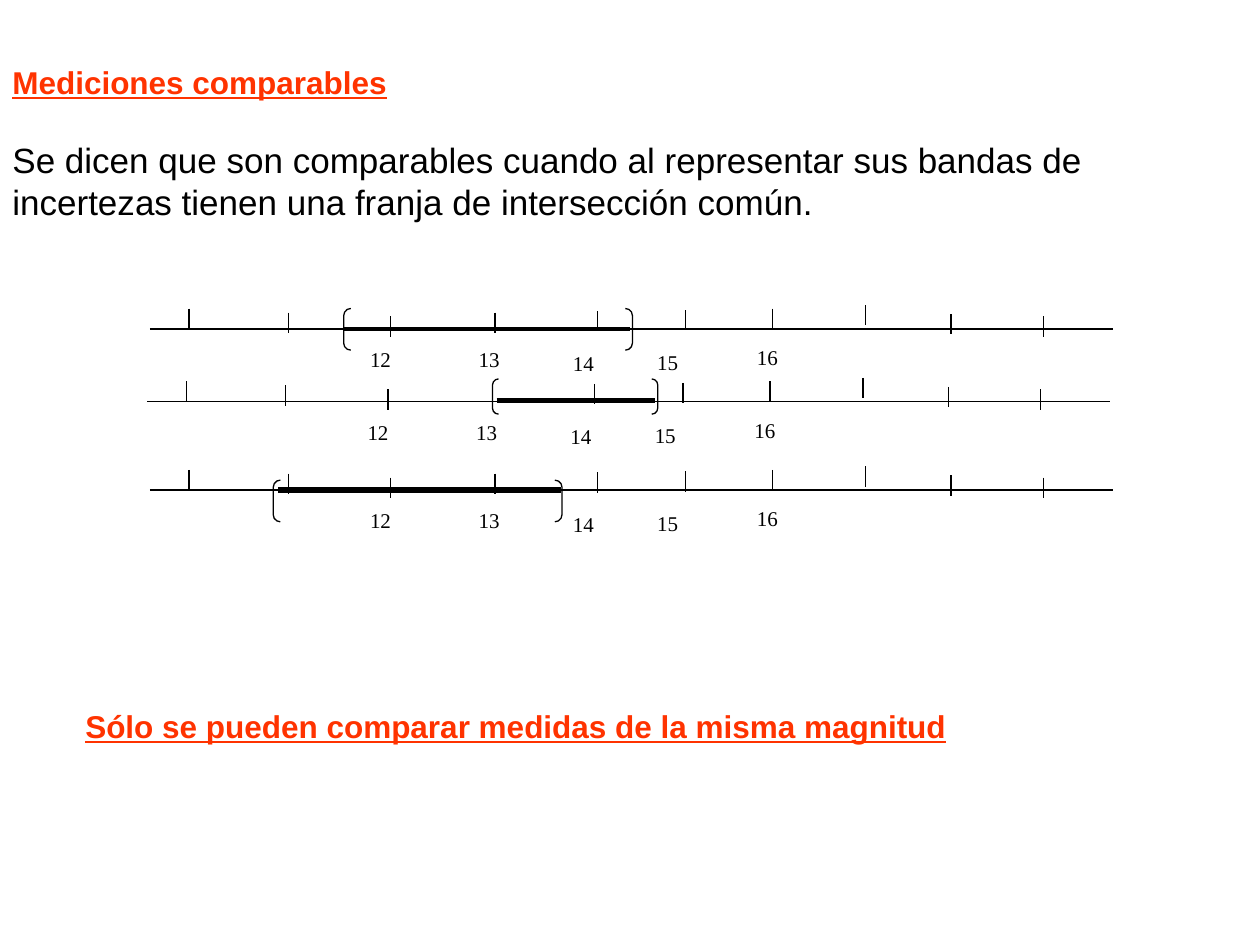
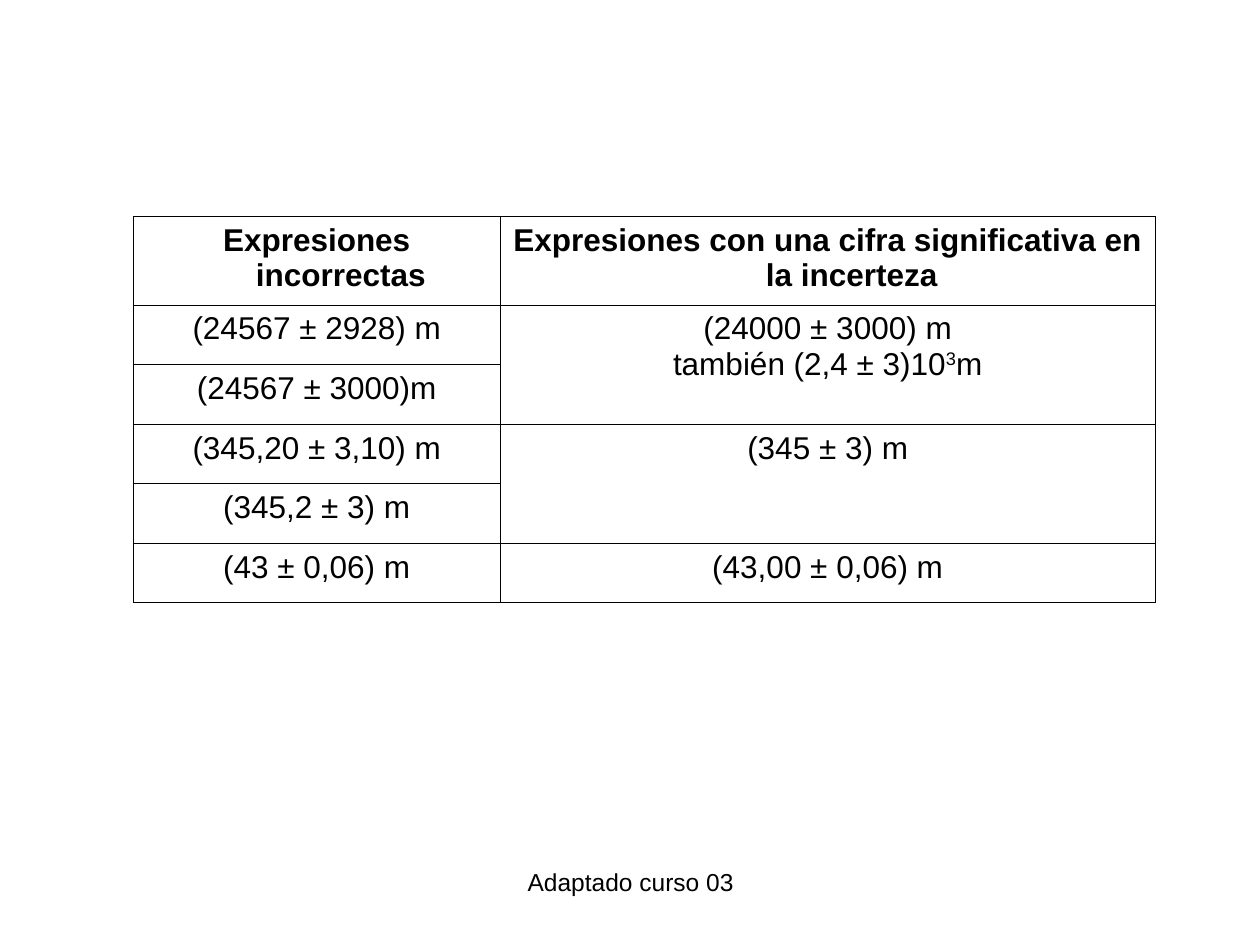
from dataclasses import dataclass
from lxml import etree
from pptx import Presentation
from pptx.dml.color import RGBColor
from pptx.enum import shapes, text
from pptx.oxml.ns import qn
from pptx.util import Cm, Pt


@dataclass(frozen=True)
class Theme:
    ink: RGBColor = RGBColor(0, 0, 0)
    alert: RGBColor = RGBColor(0xFF, 0x33, 0x00)
    sans: str = "Arial"
    serif: str = "Times New Roman"
    head: int = 18
    body: int = 20
    mark: int = 12
    foot: int = 14
    thin: float = 0.75
    edge: float = 0.45


T = Theme()
ALIGN = text.PP_ALIGN

TICKS = [(0.79, -0.41), (2.79, -0.33), (4.85, -0.25), (6.96, -0.33), (9.02, -0.36),
         (10.8, -0.38), (12.55, -0.41), (14.43, -0.48), (16.15, -0.3), (18.01, -0.25)]
MARKS = {"12": (4.19, 0.23), "13": (6.38, 0.23), "14": (8.28, 0.3),
         "15": (9.98, 0.28), "16": (11.99, 0.18)}
SCALES = [
    dict(box=(3.02, 6.63, 19.41), pair=(3.91, -0.41, 5.82, 0.84), band=(3.89, 9.68, 0, 2.25)),
    dict(box=(2.97, 8.1, 19.41), pair=(6.96, -0.46, 3.33, 0.71), band=(7.04, 10.24, -0.03, 3)),
    dict(box=(3.02, 9.88, 19.41), pair=(2.49, -0.2, 5.82, 0.84), band=(2.59, 8.28, 0, 3)),
]
ROWS = [
    ("Expresiones incorrectas", "Expresiones con una cifra significativa en la incerteza"),
    ("(24567 ± 2928) m", "(24000 ± 3000) m\ntambién (2,4 ± 3)10^3^m"),
    ("(24567 ± 3000)m", ""),
    ("(345,20 ± 3,10) m", "(345 ± 3) m"),
    ("(345,2 ± 3) m", ""),
    ("(43 ± 0,06) m", "(43,00 ± 0,06) m"),
]


def style(run, size, name=T.sans, color=T.ink, bold=False, line=False):
    font = run.font
    font.size, font.name, font.bold, font.underline = Pt(size), name, bold, line
    font.color.rgb = color


def write(shape, words, size, align=ALIGN.LEFT, top=0.13, mid=False, **look):
    frame = shape.text_frame
    frame.text = words
    frame.word_wrap = True
    frame.auto_size = text.MSO_AUTO_SIZE.NONE
    frame.margin_left = frame.margin_right = Cm(0.25)
    frame.margin_top, frame.margin_bottom = Cm(top), Cm(0.1)
    frame.vertical_anchor = text.MSO_ANCHOR.MIDDLE if mid else text.MSO_ANCHOR.TOP
    para = frame.paragraphs[0]
    para.alignment = align
    para.space_before = Pt(0)
    style(para.runs[0], size, **look)
    return para


def place(shape, box):
    shape.left, shape.top, shape.width, shape.height = map(Cm, box)


def label(slide, box, words, size, **look):
    write(slide.shapes.add_textbox(*map(Cm, box)), words, size, **look)


def rule(slide, x1, y1, x2, y2, width=T.thin):
    line = slide.shapes.add_connector(shapes.MSO_CONNECTOR.STRAIGHT, *map(Cm, (x1, y1, x2, y2)))
    line.line.color.rgb = T.ink
    line.line.width = Pt(width)
    etree.SubElement(line._element.spPr, qn("a:effectLst"))


def scale(slide, box, pair, band):
    x, y, wide = box
    rule(slide, x, y, x + wide, y)
    for dx, dy in TICKS:
        rule(slide, x + dx, y + dy, x + dx, y + dy + 0.41)
    for words, (dx, dy) in MARKS.items():
        label(slide, (x + dx, y + dy, 1.73, 1.04), words, T.mark, name=T.serif)
    dx, dy, w, h = pair
    hook = slide.shapes.add_shape(shapes.MSO_SHAPE.DOUBLE_BRACKET,
                                  *map(Cm, (x + dx, y + dy, w, h)))
    hook.adjustments[0] = 0.17
    hook.shadow.inherit = False
    hook.fill.background()
    hook.line.color.rgb = T.ink
    hook.line.width = Pt(T.thin)
    start, end, dy, width = band
    rule(slide, x + start, y + dy, x + end, y + dy, width)


def compare(deck):
    slide = deck.slides.add_slide(deck.slide_layouts[1])
    title, body = slide.placeholders
    place(title, (0, 0.84, 25.4, 1.9))
    write(title, "Mediciones comparables", T.head, top=0.43, color=T.alert, bold=True, line=True)
    place(body, (0, 2.66, 25.4, 2.1))
    para = write(body, "Se dicen que son comparables cuando al representar sus bandas de "
                 "incertezas tienen una franja de intersección común.", T.body)
    props = para._p.get_or_add_pPr()
    props.set("marL", "0")
    props.set("indent", "0")
    etree.SubElement(props, qn("a:buNone"))
    for item in SCALES:
        scale(slide, **item)
    label(slide, (1.47, 13.13, 21.39, 2.97), "Sólo se pueden comparar medidas de la misma magnitud",
          T.head, align=ALIGN.JUSTIFY, mid=True, color=T.alert, bold=True, line=True)


def frame(cell):
    props = cell._tc.get_or_add_tcPr()
    for side in ("lnL", "lnR", "lnT", "lnB"):
        line = etree.SubElement(props, qn("a:" + side), w=str(Pt(T.edge)))
        fill = etree.SubElement(line, qn("a:solidFill"))
        etree.SubElement(fill, qn("a:srgbClr"), val=str(T.ink))
    cell.fill.background()


def fill(cell, words, bold):
    for i, line in enumerate(words.split("\n")):
        para = cell.text_frame.paragraphs[0] if i == 0 else cell.text_frame.add_paragraph()
        para.alignment = ALIGN.CENTER
        props = para._p.get_or_add_pPr()
        props.set("marL", str(Cm(0.97)))
        props.set("indent", str(Cm(-0.97)))
        for j, part in enumerate(line.split("^")):
            run = para.add_run()
            run.text = part
            style(run, T.head, bold=bold)
            if j % 2:
                run._r.get_or_add_rPr().set("baseline", "30000")


def grid(slide, box):
    table = slide.shapes.add_table(len(ROWS), 2, *map(Cm, box)).table
    table.first_row = table.horz_banding = False
    for col, wide in zip(table.columns, (7.39, 13.21)):
        col.width = Cm(wide)
    for r, row in enumerate(ROWS):
        table.rows[r].height = Cm(1.2 if r else 1.78)
        for c, words in enumerate(row):
            cell = table.cell(r, c)
            frame(cell)
            if words:
                fill(cell, words, r == 0)
    for r in (1, 3):
        table.cell(r, 1).merge(table.cell(r + 1, 1))


def express(deck):
    slide = deck.slides.add_slide(deck.slide_layouts[6])
    grid(slide, (2.69, 4.37, 20.6, 7.78))
    label(slide, (8.69, 17.35, 8.05, 1.32), "Adaptado curso 03", T.foot, align=ALIGN.CENTER)


def main():
    deck = Presentation()
    deck.slide_width, deck.slide_height = Cm(25.4), Cm(19.05)
    compare(deck)
    express(deck)
    deck.save("out.pptx")


if __name__ == "__main__":
    main()
